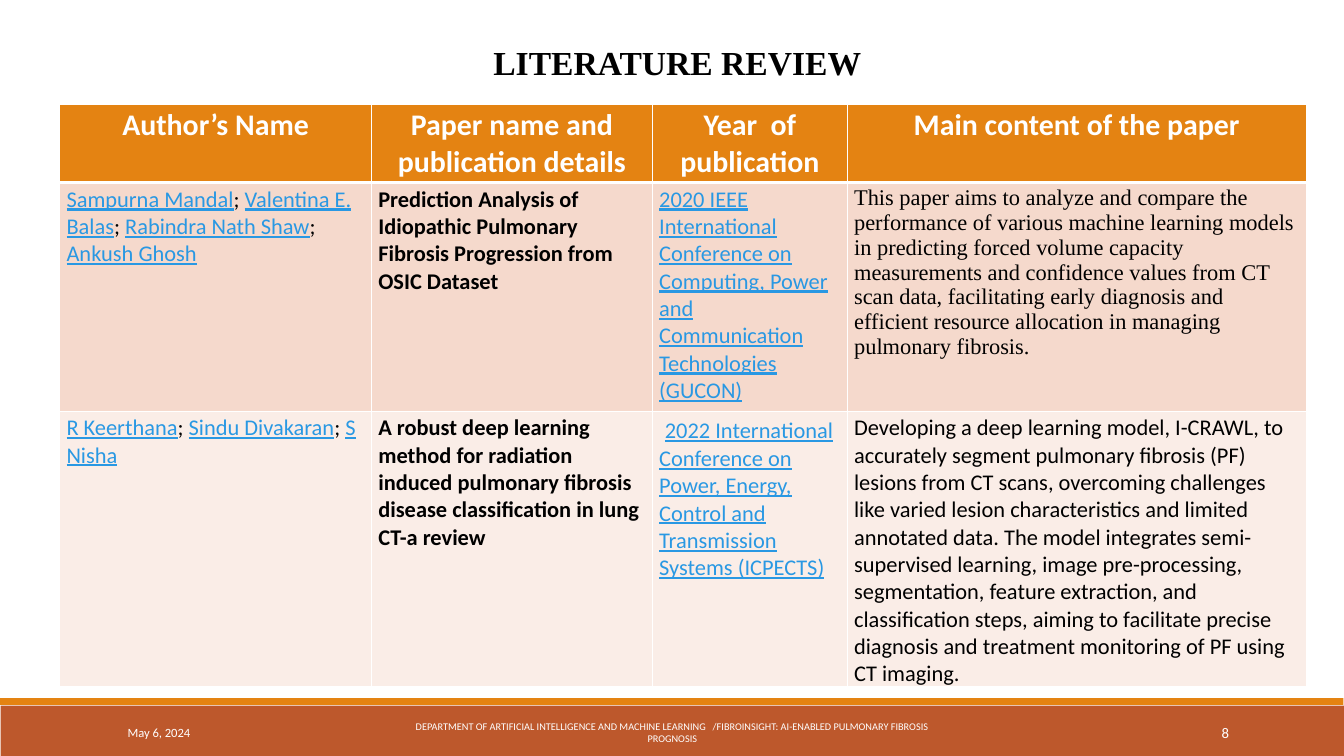
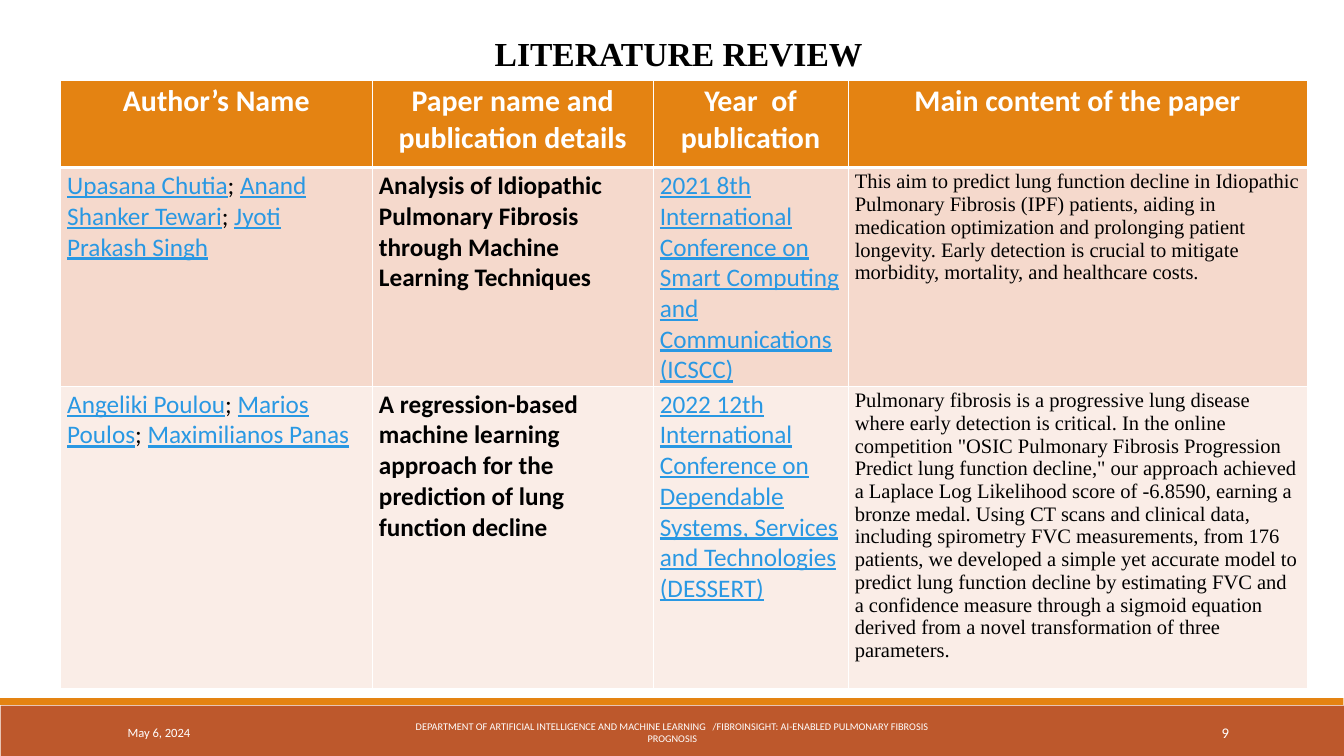
from lxml import etree
from pptx import Presentation
from pptx.dml.color import RGBColor
from pptx.enum.shapes import MSO_SHAPE
from pptx.enum.text import MSO_ANCHOR, MSO_AUTO_SIZE, PP_ALIGN
from pptx.oxml.ns import qn
from pptx.util import Inches, Pt

RECT = MSO_SHAPE.RECTANGLE
TOP, MIDDLE = MSO_ANCHOR.TOP, MSO_ANCHOR.MIDDLE
LEFT, CENTER, RIGHT = PP_ALIGN.LEFT, PP_ALIGN.CENTER, PP_ALIGN.RIGHT
NO_FIT = MSO_AUTO_SIZE.NONE

# Colours and fonts
WHITE, BLACK, LINK = "FFFFFF", "000000", "2998E3"
ORANGE, RUST = "E48312", "BD582C"
ROW_FILLS = [ORANGE, "F5D9CC", "FAEDE7"]
SANS, SERIF = "Calibri", "Times New Roman"

# Text formats
TITLE = dict(name=SERIF, size=36, bold=True, color=BLACK)
HEADER = dict(name=SANS, size=32, bold=True, color=WHITE)
PLAIN = dict(name=SANS, size=24, bold=False, color=BLACK)
SERIF_TEXT = dict(PLAIN, name=SERIF)
PAPER = dict(PLAIN, bold=True)
LINKED = dict(PLAIN, color=LINK, underline=True)
FOOTER = dict(name=SANS, color=WHITE)

# Shared content
DATE = "May 6, 2024"
DEPARTMENT = ("DEPARTMENT OF ARTIFICIAL INTELLIGENCE AND MACHINE LEARNING   "
              "/FIBROINSIGHT: AI-ENABLED PULMONARY FIBROSIS PROGNOSIS")
HEADINGS = ["Author’s Name", "Paper name and publication details",
            "Year  of publication", "Main content of the paper"]
COL_WIDTHS = [4.64, 4.18, 2.9, 6.83]

SLIDES = [
    dict(
        number=8, title_at=(0.61, 0.28), table_at=(0.89, 1.55),
        heights=[1.15, 3.4, 4.05], size=24, summary_size=24,
        papers=[
            dict(authors=["Sampurna Mandal", "Valentina E. Balas",
                          "Rabindra Nath Shaw", "Ankush Ghosh"],
                 name="Prediction Analysis of Idiopathic Pulmonary Fibrosis "
                      "Progression from OSIC Dataset",
                 venue="2020 IEEE International Conference on Computing, Power "
                       "and Communication Technologies (GUCON)",
                 summary="This paper aims to analyze and compare the performance "
                         "of various machine learning models in predicting forced "
                         "volume capacity measurements and confidence values from "
                         "CT scan data, facilitating early diagnosis and efficient "
                         "resource allocation in managing pulmonary fibrosis.",
                 summary_format=SERIF_TEXT),
            dict(authors=["R Keerthana", "Sindu Divakaran", "S Nisha"],
                 name="A robust deep learning method for radiation induced "
                      "pulmonary fibrosis disease classification in lung "
                      "CT-a review",
                 venue_lead=" ",
                 venue="2022 International Conference on Power, Energy, Control "
                       "and Transmission Systems (ICPECTS)",
                 summary="Developing a deep learning model, I-CRAWL, to accurately "
                         "segment pulmonary fibrosis (PF) lesions from CT scans, "
                         "overcoming challenges like varied lesion characteristics "
                         "and limited annotated data. The model integrates "
                         "semi-supervised learning, image pre-processing, "
                         "segmentation, feature extraction, and classification "
                         "steps, aiming to facilitate precise diagnosis and "
                         "treatment monitoring of PF using CT imaging.",
                 summary_format=PLAIN),
        ]),
    dict(
        number=9, title_at=(0.63, 0.14), table_at=(0.9, 1.19),
        heights=[1.3, 3.25, 4.5], size=27, summary_size=22,
        papers=[
            dict(authors=["Upasana Chutia", "Anand Shanker Tewari",
                          "Jyoti Prakash Singh"],
                 name="Analysis of Idiopathic Pulmonary Fibrosis through Machine "
                      "Learning Techniques",
                 venue="2021 8th International Conference on Smart Computing and "
                       "Communications (ICSCC)",
                 summary="This aim to predict lung function decline in Idiopathic "
                         "Pulmonary Fibrosis (IPF) patients, aiding in medication "
                         "optimization and prolonging patient longevity. Early "
                         "detection is crucial to mitigate morbidity, mortality, "
                         "and healthcare costs.",
                 summary_format=SERIF_TEXT),
            dict(authors=["Angeliki Poulou", "Marios Poulos",
                          "Maximilianos Panas"],
                 name="A regression-based machine learning approach for the "
                      "prediction of lung function decline",
                 venue="2022 12th International Conference on Dependable Systems, "
                       "Services and Technologies (DESSERT)",
                 summary="Pulmonary fibrosis is a progressive lung disease where "
                         "early detection is critical. In the online competition "
                         "\"OSIC Pulmonary Fibrosis Progression Predict lung "
                         "function decline,\" our approach achieved a Laplace Log "
                         "Likelihood score of -6.8590, earning a bronze medal. "
                         "Using CT scans and clinical data, including spirometry "
                         "FVC measurements, from 176 patients, we developed a "
                         "simple yet accurate model to predict lung function "
                         "decline by estimating FVC and a confidence measure "
                         "through a sigmoid equation derived from a novel "
                         "transformation of three parameters.",
                 summary_format=SERIF_TEXT),
        ]),
]


def rgb(color):
    return RGBColor.from_string(color)


def add_run(p, text, fmt):
    r = p.add_run()
    r.text = text
    for key, value in fmt.items():
        if key == "color":
            r.font.color.rgb = rgb(value)
        else:
            setattr(r.font, key, Pt(value) if key == "size" else value)


def add_band(s, left, top, height, color):
    sp = s.shapes.add_shape(RECT, Inches(left), Inches(top),
                            Inches(19.99), Inches(height))
    sp.shadow.inherit = False
    sp.fill.solid()
    sp.fill.fore_color.rgb = rgb(color)
    sp.line.fill.background()


def add_footer_text(s, left, width, text, size, align):
    sp = s.shapes.add_textbox(Inches(left), Inches(10.6),
                              Inches(width), Inches(0.6))
    tf = sp.text_frame
    tf.word_wrap = True
    tf.vertical_anchor = MIDDLE
    tf.paragraphs[0].alignment = align
    add_run(tf.paragraphs[0], text, dict(FOOTER, size=size))


def add_footer(s, number):
    add_band(s, 0.01, 10.5, 0.75, RUST)
    add_band(s, 0, 10.39, 0.1, ORANGE)
    add_footer_text(s, 1.8, 4.06, DATE, 13.5, LEFT)
    add_footer_text(s, 6.05, 7.91, DEPARTMENT, 11, CENTER)
    add_footer_text(s, 16.24, 2.15, str(number), 15.8, RIGHT)


def set_title(s, left, top):
    sp = s.shapes.title
    sp.left, sp.top = Inches(left), Inches(top)
    sp.width, sp.height = Inches(18.44), Inches(0.9)
    tf = sp.text_frame
    tf.auto_size = NO_FIT
    tf.vertical_anchor = TOP
    tf.margin_left = Inches(0.6)
    p = tf.paragraphs[0]
    p.alignment, p.line_spacing = CENTER, 1.5
    add_run(p, "LITERATURE REVIEW", TITLE)


def set_borders(cell, bottom):
    tc_pr = cell._tc.get_or_add_tcPr()
    for side, width in (("L", 1), ("R", 1), ("T", 1), ("B", bottom)):
        ln = etree.SubElement(tc_pr, qn("a:ln" + side), w=str(Pt(width)))
        fill = etree.SubElement(ln, qn("a:solidFill"))
        etree.SubElement(fill, qn("a:srgbClr"), val=WHITE)


def fill_cell(cell, runs, color, align=LEFT, bottom=1):
    set_borders(cell, bottom)
    cell.fill.solid()
    cell.fill.fore_color.rgb = rgb(color)
    p = cell.text_frame.paragraphs[0]
    p.alignment = align
    for text, fmt in runs:
        add_run(p, text, fmt)


def paper_cells(paper, size, summary_size):
    """Return the runs of the four cells that describe one paper."""
    authors = []
    for name in paper["authors"]:
        if authors:
            authors.append(("; ", dict(PLAIN, size=size)))
        authors.append((name, dict(LINKED, size=size)))
    venue = [(paper["venue"], dict(LINKED, size=size))]
    if "venue_lead" in paper:
        venue.insert(0, (paper["venue_lead"], dict(PAPER, size=27)))
    return [authors,
            [(paper["name"], dict(PAPER, size=size))],
            venue,
            [(paper["summary"],
              dict(paper["summary_format"], size=summary_size))]]


def add_review_table(s, data):
    left, top = data["table_at"]
    heights = data["heights"]
    table = s.shapes.add_table(
        len(heights), len(COL_WIDTHS), Inches(left), Inches(top),
        Inches(sum(COL_WIDTHS)), Inches(sum(heights))).table
    for column, width in zip(table.columns, COL_WIDTHS):
        column.width = Inches(width)
    for row, height in zip(table.rows, heights):
        row.height = Inches(height)
    for cell, heading in zip(table.rows[0].cells, HEADINGS):
        fill_cell(cell, [(heading, HEADER)], ROW_FILLS[0], CENTER, bottom=3)
    for i, paper in enumerate(data["papers"], 1):
        cells = paper_cells(paper, data["size"], data["summary_size"])
        for cell, runs in zip(table.rows[i].cells, cells):
            fill_cell(cell, runs, ROW_FILLS[i])


def main():
    prs = Presentation()
    prs.slide_width, prs.slide_height = Inches(20), Inches(11.25)
    for data in SLIDES:
        s = prs.slides.add_slide(prs.slide_layouts[5])
        add_footer(s, data["number"])
        set_title(s, *data["title_at"])
        add_review_table(s, data)
    prs.save("out.pptx")


if __name__ == "__main__":
    main()
